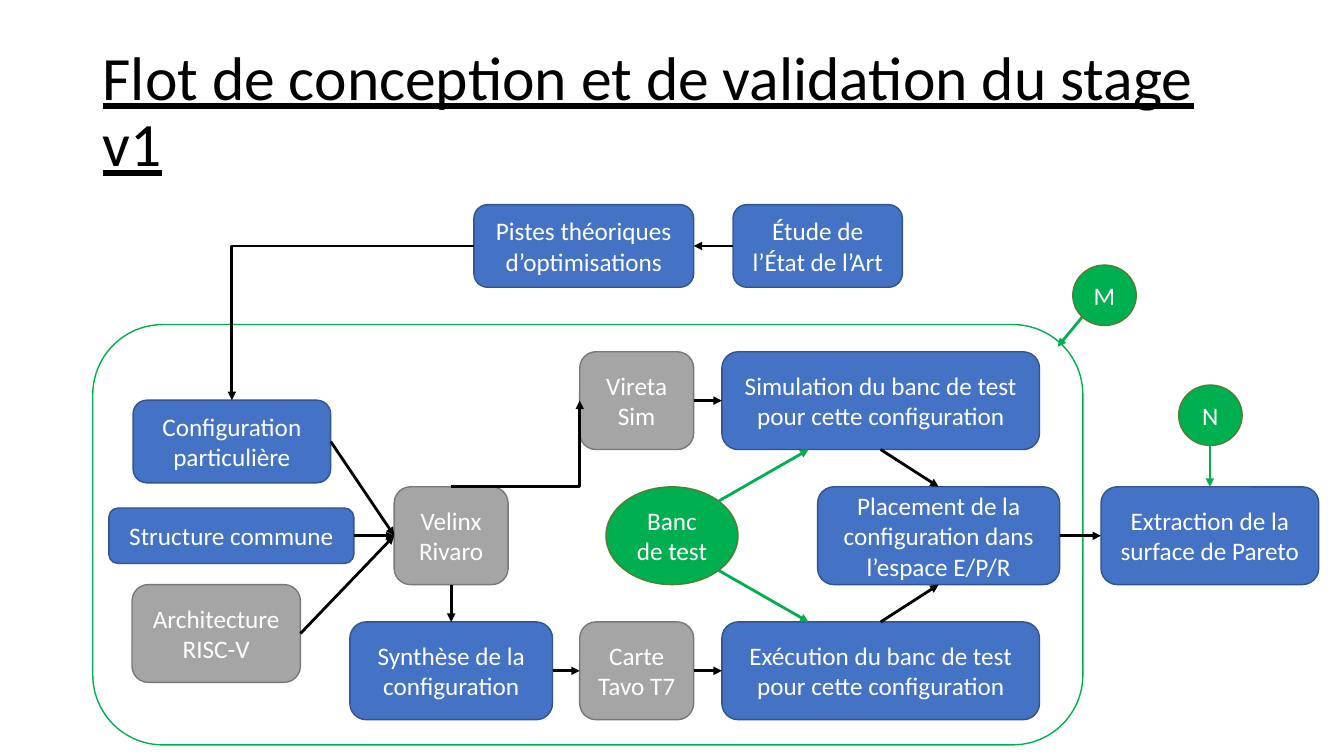
from dataclasses import dataclass

from lxml import etree
from pptx import Presentation
from pptx import util as u
from pptx.dml.color import RGBColor
from pptx.enum import shapes, text
from pptx.oxml.ns import qn


@dataclass(frozen=True)
class Theme:
    font: str = "Calibri"
    title_size: int = 44
    label_size: int = 18
    border: float = 1
    arrow: float = 2
    ink: str = "000000"
    light: str = "FFFFFF"
    green: str = "00B050"
    step: tuple = ("4472C4", "31538F")
    tool: tuple = ("A5A5A5", "787878")
    bench: tuple = ("00B050", "517E33")


def write(shape, words, font, size, color, underline=None,
          align=text.PP_ALIGN.CENTER, spacing=None):
    frame = shape.text_frame
    frame.word_wrap = True
    frame.vertical_anchor = text.MSO_ANCHOR.MIDDLE
    paragraph = frame.paragraphs[0]
    paragraph.alignment = align
    paragraph.line_spacing = spacing
    run = paragraph.add_run()
    run.text = words
    run.font.name = font
    run.font.size = u.Pt(size)
    run.font.underline = underline
    run.font.color.rgb = RGBColor.from_string(color)


def side_point(shape, side):
    """Middle of a side, in inches."""
    across, down = {"top": (0.5, 0), "left": (0, 0.5),
                    "bottom": (0.5, 1), "right": (1, 0.5)}[side]
    return ((shape.left + across * shape.width) / u.Inches(1),
            (shape.top + down * shape.height) / u.Inches(1))


class FlowSlide:
    """Holds the theme and the slide being drawn."""

    SIDES = ("top", "left", "bottom", "right")

    def __init__(self, slide, theme):
        self.slide = slide
        self.theme = theme

    def title(self, words, *place):
        box = self.slide.shapes.add_textbox(*map(u.Inches, place))
        write(box, words, self.theme.font, self.theme.title_size, self.theme.ink,
              underline=True, align=text.PP_ALIGN.LEFT, spacing=0.9)

    def outline(self, kind, place, line):
        shape = self.slide.shapes.add_shape(kind, *map(u.Inches, place))
        shape.shadow.inherit = False
        shape.fill.background()
        shape.line.color.rgb = RGBColor.from_string(line)
        shape.line.width = u.Pt(self.theme.border)
        return shape

    def node(self, words, colors, *place, kind=shapes.MSO_SHAPE.ROUNDED_RECTANGLE):
        fill, line = colors
        shape = self.outline(kind, place, line)
        shape.fill.solid()
        shape.fill.fore_color.rgb = RGBColor.from_string(fill)
        write(shape, words, self.theme.font, self.theme.label_size, self.theme.light)
        return shape

    def bubble(self, words, *place):
        return self.node(words, self.theme.bench, *place, kind=shapes.MSO_SHAPE.OVAL)

    def arrow(self, start, end, color, kind=shapes.MSO_CONNECTOR.STRAIGHT):
        line = self.slide.shapes.add_connector(kind, *map(u.Inches, (*start, *end)))
        line.line.color.rgb = RGBColor.from_string(color)
        line.line.width = u.Pt(self.theme.arrow)
        properties = line._element.spPr
        etree.SubElement(properties.find(qn("a:ln")), qn("a:tailEnd"), type="triangle")
        etree.SubElement(properties, qn("a:effectLst"))
        return line

    def link(self, source, source_side, target, target_side):
        """Straight arrow glued to both boxes."""
        line = self.arrow(side_point(source, source_side),
                          side_point(target, target_side), self.theme.ink)
        line.begin_connect(source, self.SIDES.index(source_side))
        line.end_connect(target, self.SIDES.index(target_side))

    def corner(self, start, end):
        """Arrow that runs across, then turns once towards its end."""
        line = self.arrow(start, end, self.theme.ink, shapes.MSO_CONNECTOR.ELBOW)
        line._element.spPr.find(qn("a:prstGeom")).set("prst", "bentConnector2")


def main():
    deck = Presentation()
    deck.slide_width, deck.slide_height = u.Inches(13.33), u.Inches(7.5)
    theme = Theme()
    flow = FlowSlide(deck.slides.add_slide(deck.slide_layouts[6]), theme)
    step, tool, green = theme.step, theme.tool, theme.green

    flow.title("Flot de conception et de validation du stage v1", 0.92, 0.4, 11.68, 1.45)

    study_y, simulation_y, middle_y, board_y = 2.03, 3.49, 4.83, 6.17
    tall, low = 0.97, 0.82

    pareto = flow.node("Extraction de la surface de Pareto", step, 10.92, middle_y, 2.16, tall)
    placement = flow.node("Placement de la configuration dans l’espace E/P/R", step,
                          8.11, middle_y, 2.4, tall)
    execution = flow.node("Exécution du banc de test pour cette configuration", step,
                          7.16, board_y, 3.15, tall)
    flow.bubble("Banc de test", 6.01, middle_y, 1.31, tall)
    flow.bubble("N", 11.69, 3.82, 0.63, 0.6)
    synthesis = flow.node("Synthèse de la configuration", step, 3.47, board_y, 2.01, tall)
    board = flow.node("Carte Tavo T7", tool, 5.75, board_y, 1.13, tall)
    toolchain = flow.node("Velinx Rivaro", tool, 3.91, middle_y, 1.13, tall)
    simulation = flow.node("Simulation du banc de test pour cette configuration", step,
                           7.16, simulation_y, 3.15, tall)
    simulator = flow.node("Vireta Sim", tool, 5.75, simulation_y, 1.13, tall)
    architecture = flow.node("Architecture RISC-V", tool, 1.31, 5.8, 1.67, tall)
    structure = flow.node("Structure commune", step, 1.08, 5.04, 2.43, 0.55)
    configuration = flow.node("Configuration particulière", step, 1.32, 3.97, 1.96, low)
    flow.outline(shapes.MSO_SHAPE.ROUNDED_RECTANGLE, (0.92, 3.22, 9.82, 4.17), green)
    ideas = flow.node("Pistes théoriques d’optimisations", step, 4.7, study_y, 2.18, low)
    study = flow.node("Étude de l’État de l’Art", step, 7.27, study_y, 1.68, low)
    flow.bubble("M", 10.64, 2.63, 0.63, 0.6)

    for source, target in ((synthesis, board), (board, execution), (placement, pareto),
                           (simulator, simulation), (architecture, toolchain),
                           (structure, toolchain), (configuration, toolchain)):
        flow.link(source, "right", target, "left")
    flow.link(toolchain, "bottom", synthesis, "top")
    flow.link(execution, "top", placement, "bottom")
    flow.link(simulation, "bottom", placement, "top")
    flow.link(study, "left", ideas, "right")

    flow.corner(side_point(toolchain, "top"), side_point(simulator, "left"))
    flow.corner(side_point(ideas, "left"), side_point(configuration, "top"))

    for start, end in (((7.13, 5.66), (8.02, board_y)),
                       ((7.13, 4.97), (8.02, simulation_y + tall)),
                       ((12, 4.42), (12, middle_y)),
                       ((10.73, 3.15), (10.49, 3.44))):
        flow.arrow(start, end, green)

    deck.save("out.pptx")


if __name__ == "__main__":
    main()
